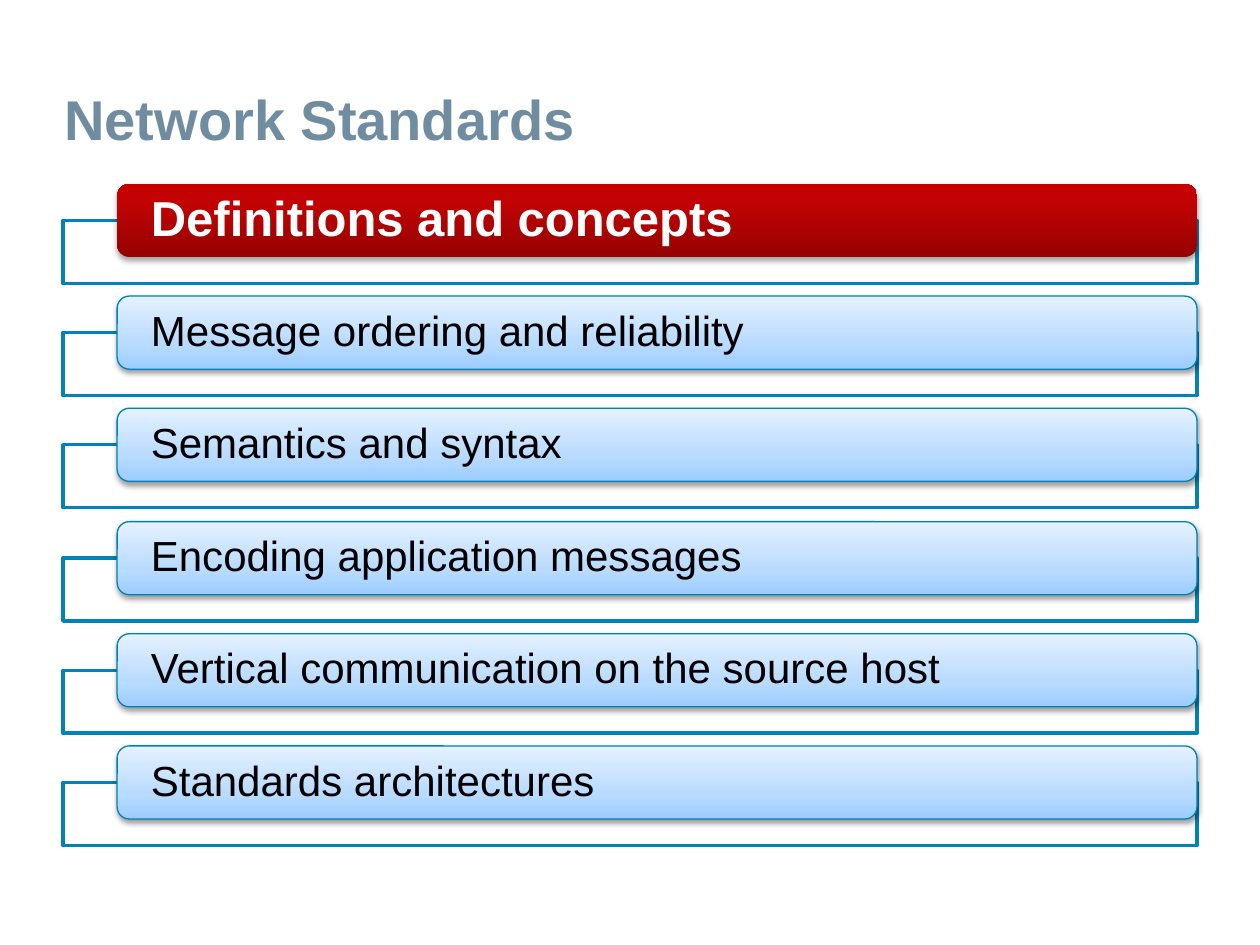
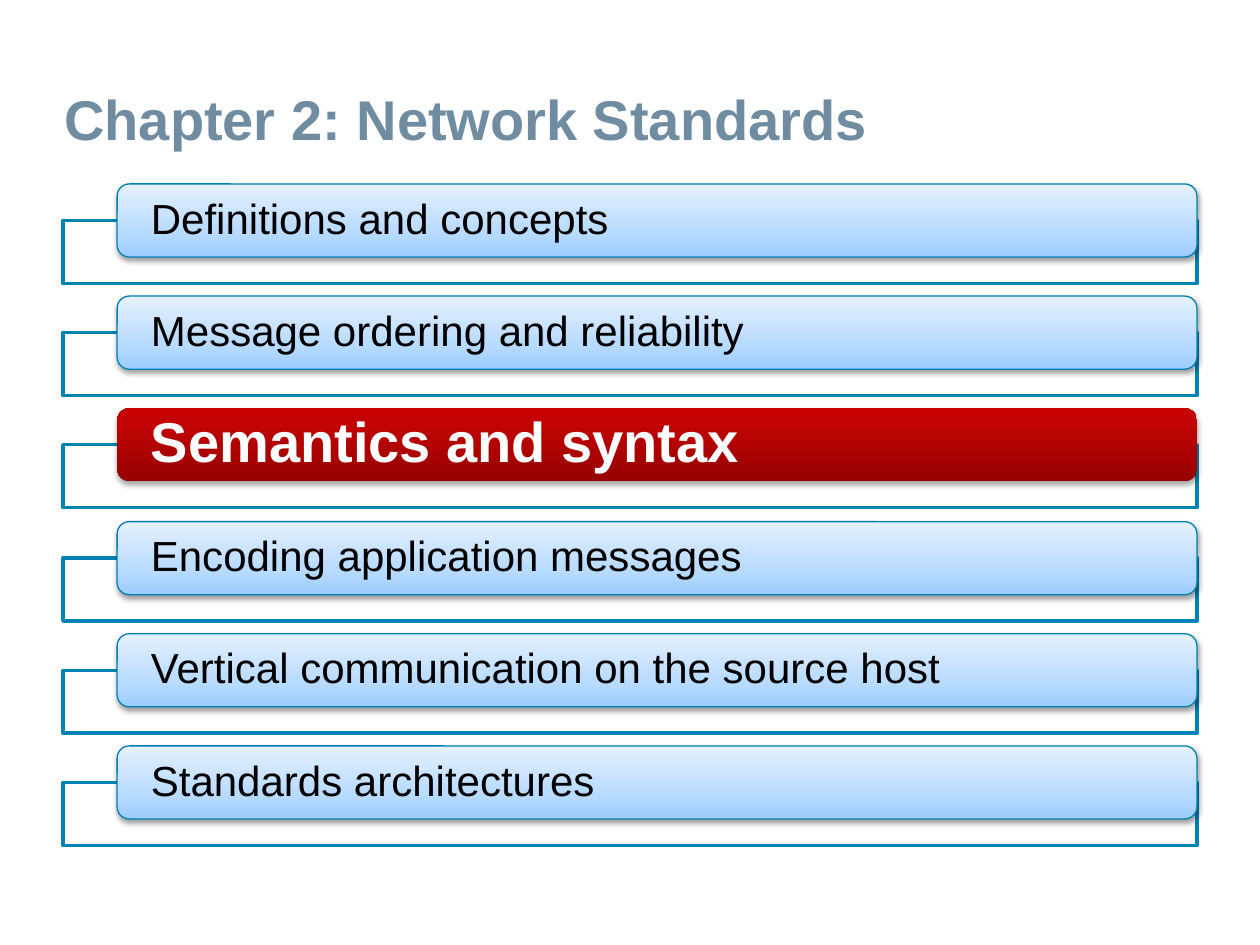
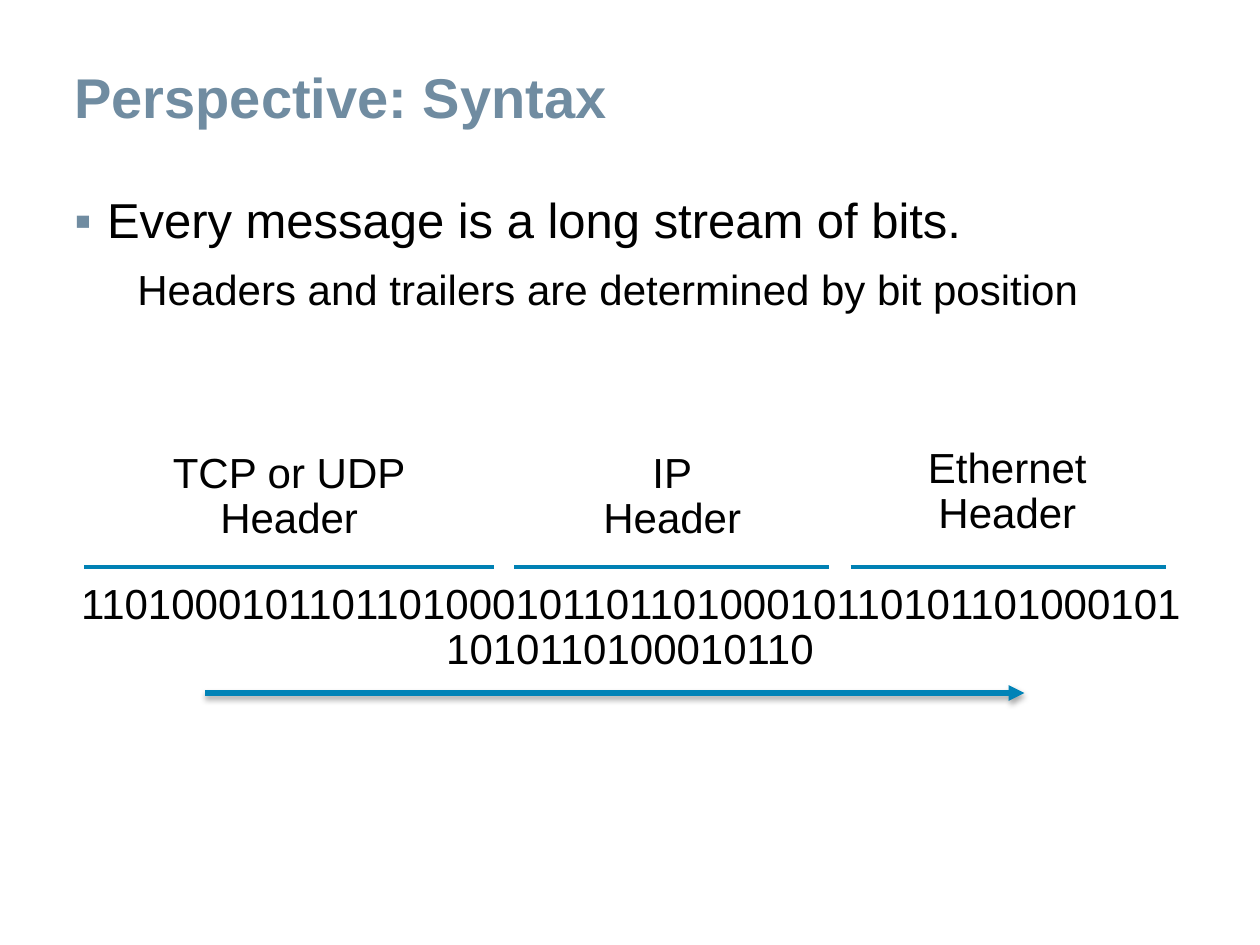
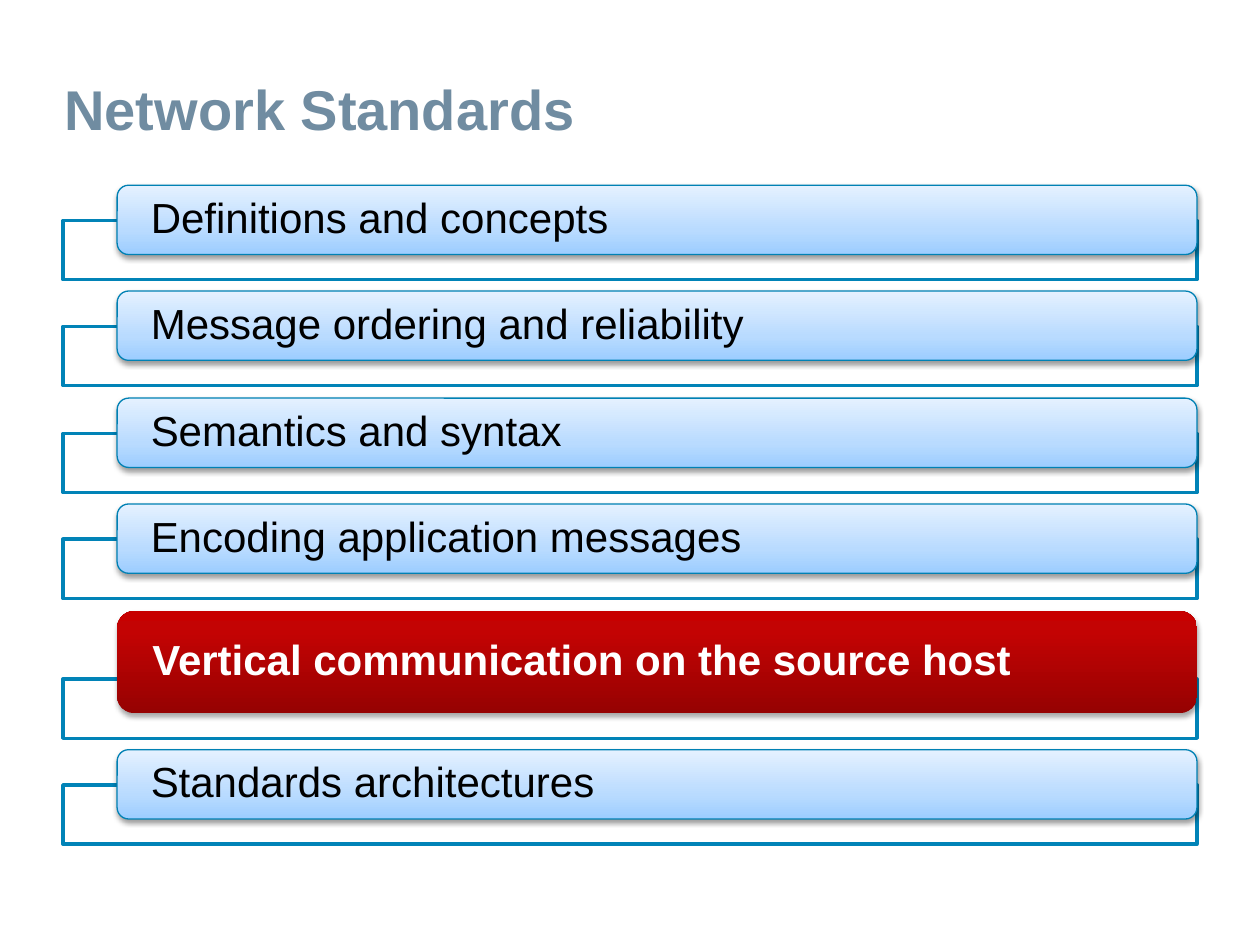
"""Build four slides on network standards: three agendas and one syntax view."""
from lxml import etree
from pptx import Presentation
from pptx.dml.color import RGBColor
from pptx.enum.shapes import MSO_CONNECTOR, MSO_SHAPE
from pptx.enum.text import MSO_ANCHOR, MSO_AUTO_SIZE, PP_ALIGN
from pptx.oxml.ns import qn
from pptx.util import Pt

PX = 9144
FONT = "Arial"
LEFT, MID = PP_ALIGN.LEFT, PP_ALIGN.CENTER
TOP, CENTER, BOTTOM = MSO_ANCHOR.TOP, MSO_ANCHOR.MIDDLE, MSO_ANCHOR.BOTTOM
NO_FIT = MSO_AUTO_SIZE.NONE
RECT, ROUND = MSO_SHAPE.RECTANGLE, MSO_SHAPE.ROUNDED_RECTANGLE
LINE = MSO_CONNECTOR.STRAIGHT
HEX = {"title": "708CA1", "text": "000000", "white": "FFFFFF",
       "frame": "0183B7", "edge": "0081B4"}
RGB = {name: RGBColor.from_string(code) for name, code in HEX.items()}
BLUE = [(0, "9CCDFF"), (35, "B9DBFF"), (100, "E5F1FF")]
RED = [(0, "960202"), (80, "C30303"), (100, "C70000")]

TOPICS = ["Definitions and concepts", "Message ordering and reliability",
          "Semantics and syntax", "Encoding application messages",
          "Vertical communication on the source host", "Standards architectures"]


def sub(node, tag, **attrs):
    """Append an XML child and return it."""
    return etree.SubElement(node, qn(tag), {k: str(v) for k, v in attrs.items()})


def write(shape, text, size=24, color="text", bold=False, align=LEFT,
          anchor=TOP, inset=(10, 5), wrap=True, lead=0.9):
    """Put text into a shape, one paragraph for each line."""
    frame = shape.text_frame
    frame.text = text
    frame.auto_size = NO_FIT
    frame.word_wrap = wrap
    frame.vertical_anchor = anchor
    frame.margin_left = frame.margin_right = inset[0] * PX
    frame.margin_top = frame.margin_bottom = inset[1] * PX
    for para in frame.paragraphs:
        para.alignment = align
        para.line_spacing = lead
        font = para.runs[0].font
        font.name, font.size, font.bold = FONT, Pt(size), bold
        font.color.rgb = RGB[color]
    return frame.paragraphs


deck = Presentation()
deck.slide_width, deck.slide_height = 1000 * PX, 750 * PX
slides = []
for text, x, y, high in [("Network Standards", 42, 30, 95),
                         ("Chapter 2: Network Standards", 42, 30, 95),
                         ("Perspective: Syntax", 50, 25, 83),
                         ("Network Standards", 42, 30, 87)]:
    slide = deck.slides.add_slide(deck.slide_layouts[5])
    title = slide.shapes.title
    title.left, title.top, title.width, title.height = x * PX, y * PX, 900 * PX, high * PX
    write(title, text, size=32, color="title", bold=True, anchor=BOTTOM, inset=(9, 4))
    slides.append(slide)

shades = []
for page, active, size, start, span, bar, box, extra in [
        (0, 0, 28, 146, 446, 58, 50, 0),
        (1, 2, 32, 146, 446, 58, 50, 0),
        (3, 4, 24, 147, 422, 55, 47, 26)]:
    shapes = slides[page].shapes
    for i, topic in enumerate(TOPICS):
        on = i == active
        y = round(start + span * i / 5) + (extra if i > active else 0)
        high = bar + (extra if on else 0)

        frame = shapes.add_shape(RECT, 50 * PX, (y + high - bar // 2) * PX, 900 * PX, box * PX)
        frame.shadow.inherit = False
        frame.fill.solid()
        frame.fill.fore_color.rgb = RGB["white"]
        sub(frame._element.spPr.find(qn("a:solidFill"))[0], "a:alpha", val=90000)
        frame.line.color.rgb = RGB["frame"]
        frame.line.width = Pt(2)

        item = shapes.add_shape(ROUND, 93 * PX, y * PX, 857 * PX, high * PX)
        item.shadow.inherit = False
        item.fill.gradient()
        item.fill.gradient_angle = 90
        props = item._element.spPr
        stops = props.find(qn("a:gradFill")).find(qn("a:gsLst"))
        stops.clear()
        for pos, code in RED if on else BLUE:
            sub(sub(stops, "a:gs", pos=pos * 1000), "a:srgbClr", val=code)
        if on:
            item.line.fill.background()
        else:
            item.line.color.rgb = RGB["edge"]
            item.line.width = Pt(0.75)
        shades.append((props.find(qn("a:effectLst")), *((35, 1.8) if on else (38, 1.6))))
        write(item, topic, size=size if on else 24, color="white" if on else "text",
              bold=on, anchor=CENTER, inset=(24, 0))

shapes = slides[2].shapes
body = shapes.add_textbox(50 * PX, 150 * PX, 900 * PX, 175 * PX)
paras = write(body, "Every message is a long stream of bits.\n"
              "Headers and trailers are determined by bit position",
              inset=(9, 4), lead=0.95)
paras[0].runs[0].font.size = Pt(28)
for para, gap, margin, indent in zip(paras, (3, 10), (26, 63), (-26, -13)):
    para.space_before = Pt(gap)
    props = para._p.get_or_add_pPr()
    props.set("marL", str(margin * PX))
    props.set("indent", str(indent * PX))
props = paras[0]._p.get_or_add_pPr()
sub(sub(props, "a:buClr"), "a:srgbClr", val=HEX["title"])
sub(props, "a:buFont", typeface=FONT)
sub(props, "a:buChar", char="▪")

bits = shapes.add_textbox(50 * PX, 458 * PX, 900 * PX, 40 * PX)
write(bits, "1101000101101101000101101101000101101011010001011010110100010110", align=MID)

for x, end, y, color, width in [(163, 813, 550, "frame", 3), (675, 925, 450, "edge", 2.25),
                                (408, 658, 450, "edge", 2.25), (67, 392, 450, "edge", 2.25)]:
    rule = shapes.add_connector(LINE, x * PX, y * PX, end * PX, y * PX)
    rule.line.color.rgb = RGB[color]
    rule.line.width = Pt(width)
    props = rule._element.spPr
    effect = sub(props, "a:effectLst")
    if color == "frame":
        sub(props.find(qn("a:ln")), "a:tailEnd", type="triangle")
        shades.append((effect, 35, 1.8))

for name, x, y, wide in [("Ethernet", 726, 350, 147), ("IP", 468, 354, 131),
                         ("TCP or UDP", 126, 354, 207)]:
    label = shapes.add_textbox(x * PX, y * PX, wide * PX, 91 * PX)
    write(label, name + "\nHeader", align=MID, wrap=False)

for effect, alpha, drop in shades:
    shade = sub(effect, "a:outerShdw", blurRad=Pt(3.1), dist=Pt(drop),
                dir=5400000, rotWithShape=0)
    sub(sub(shade, "a:srgbClr", val=HEX["text"]), "a:alpha", val=alpha * 1000)

deck.save("out.pptx")
